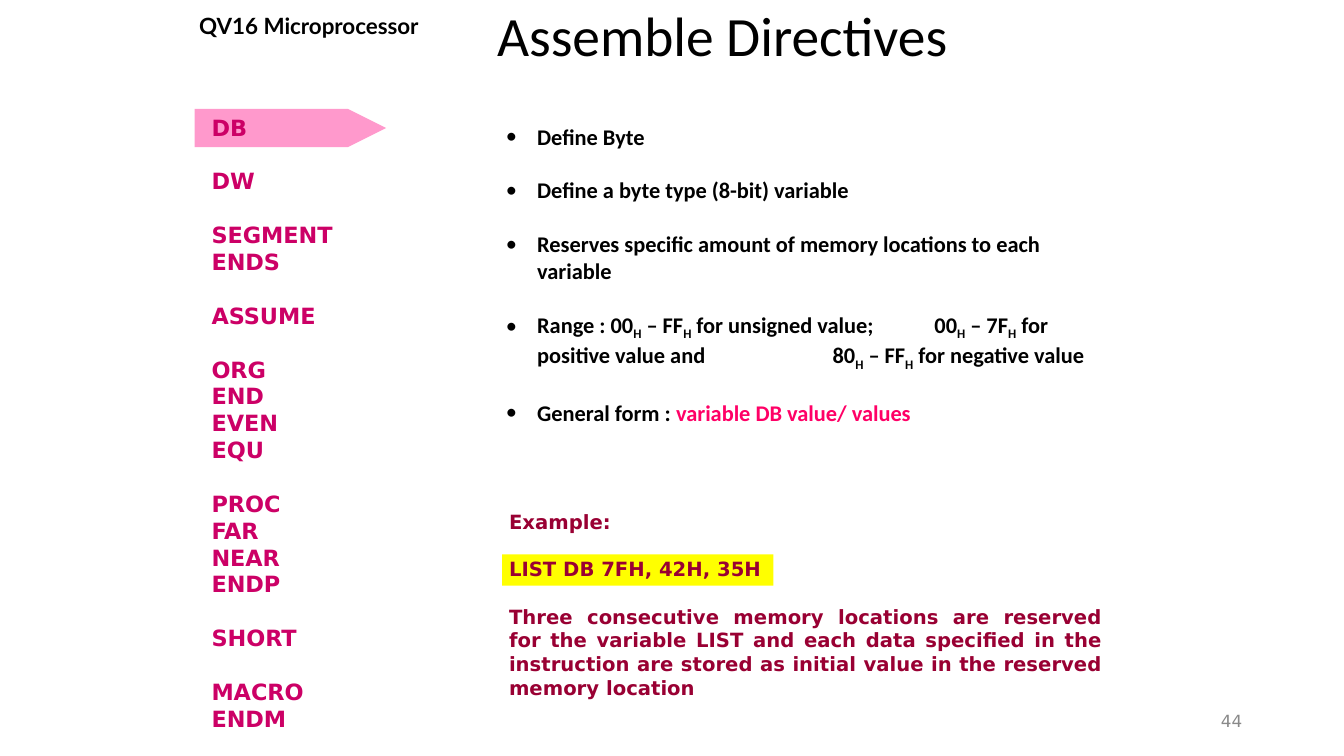
from dataclasses import dataclass

from lxml import etree
from pptx import Presentation
from pptx.dml.color import RGBColor
from pptx.enum import shapes, text
from pptx.oxml import ns
from pptx.util import Inches, Pt

TITLE = "Assemble Directives"
HEADER = "QV16 Microprocessor"
NUMBER = "44"
GROUPS = [
    ["DB"],
    ["DW"],
    ["SEGMENT", "ENDS"],
    ["ASSUME"],
    ["ORG", "END", "EVEN", "EQU"],
    ["PROC", "FAR", "NEAR", "ENDP"],
    ["SHORT"],
    ["MACRO", "ENDM"],
]
# Each run is its text and its style: "" plain, "sub" subscript, "key" accent
H = ("H", "sub")
POINTS = [
    [("Define Byte", "")],
    [("Define a byte type (8-bit) variable", "")],
    [("Reserves specific amount of memory locations to each variable", "")],
    [("Range : 00", ""), H, (" – FF", ""), H,
     (" for unsigned value;\t00", ""), H, (" – 7F", ""), H,
     (" for positive value and\t80", ""), H, (" – FF", ""), H,
     (" for negative value", "")],
    [("General form : ", ""), ("variable DB value/ values", "key")],
]
TABS = [3.24, 4.25]
EXAMPLE = [
    "Example:",
    "LIST DB 7FH, 42H, 35H",
    "Three consecutive memory locations are reserved for the variable LIST "
    "and each data specified in the instruction are stored as initial value "
    "in the reserved memory location",
]


@dataclass(frozen=True)
class Theme:
    ink: str = "000000"
    grey: str = "898989"
    menu: str = "CC0066"
    key: str = "FF0066"
    wine: str = "990033"
    pink: str = "FF99CC"
    mark: str = "FFFF00"
    body: str = "Calibri"
    head: str = "Lato"
    wide: str = "DejaVu Sans"
    big: float = 39.6
    mid: float = 16
    note: float = 14
    small: float = 12
    gap: float = 19.2
    tight: float = 16.9


T = Theme()
LEFT = text.PP_ALIGN.LEFT


def style(para, face, size, color, bold=True, align=LEFT):
    font = para.font
    font.name, font.size, font.bold = face, Pt(size), bold
    font.color.rgb = RGBColor.from_string(color)
    para.alignment = align


def add_box(slide, *area):
    frame = slide.shapes.add_textbox(*map(Inches, area)).text_frame
    frame.word_wrap = True
    return frame


def add_para(frame, index):
    return frame.add_paragraph() if index else frame.paragraphs[0]


def add_fill(slide, kind, color, *area):
    shape = slide.shapes.add_shape(kind, *map(Inches, area))
    shape.shadow.inherit = False
    shape.fill.solid()
    shape.fill.fore_color.rgb = RGBColor.from_string(color)
    shape.line.fill.background()
    return shape


def set_bullet(para):
    """Give the paragraph a hanging bullet and the tab stops."""
    props = para._p.get_or_add_pPr()
    hang = Inches(0.31)
    props.set("marL", str(hang))
    props.set("indent", str(-hang))
    # The schema wants font, bullet, then tab list, ahead of the run defaults
    face = etree.Element(ns.qn("a:buFont"), typeface=T.body)
    bullet = etree.Element(ns.qn("a:buChar"), char="•")
    stops = etree.Element(ns.qn("a:tabLst"))
    for stop in TABS:
        etree.SubElement(stops, ns.qn("a:tab"), pos=str(Inches(stop)), algn="l")
    first = props.find(ns.qn("a:defRPr"))
    for item in (face, bullet, stops):
        first.addprevious(item)


def add_menu(slide):
    frame = add_box(slide, 2, 1.08, 1.63, 6.29)
    lines = [(word, i == 0) for group in GROUPS for i, word in enumerate(group)]
    for i, (word, opens) in enumerate(lines):
        para = add_para(frame, i)
        para.text = word
        style(para, T.wide, T.mid, T.menu)
        para.line_spacing = Pt(T.gap)
        para.space_before = Pt(T.gap if i and opens else 0)


def add_points(slide):
    frame = add_box(slide, 4.92, 1.17, 6.17, 3.33)
    for i, runs in enumerate(POINTS):
        para = add_para(frame, i)
        style(para, T.body, T.mid, T.ink)
        para.space_before = Pt(T.gap if i else 0)
        set_bullet(para)
        for words, look in runs:
            run = para.add_run()
            run.text = words
            if look == "sub":
                run.font._element.set("baseline", "-25000")
            elif look == "key":
                run.font.color.rgb = RGBColor.from_string(T.key)


def add_example(slide):
    frame = add_box(slide, 4.95, 5.01, 6.08, 1.99)
    for i, words in enumerate(EXAMPLE):
        para = add_para(frame, i)
        para.text = words
        style(para, T.wide, T.note, T.wine, align=text.PP_ALIGN.JUSTIFY)
        para.line_spacing = Pt(T.tight)
        para.space_before = Pt(T.tight if i else 0)


def add_title(slide):
    title = slide.shapes.title
    title.left, title.top, title.width, title.height = map(
        Inches, (4.83, 0.12, 6.58, 0.53))
    frame = title.text_frame
    frame.text = TITLE
    frame.vertical_anchor = text.MSO_ANCHOR.MIDDLE
    frame.auto_size = text.MSO_AUTO_SIZE.NONE
    style(frame.paragraphs[0], T.body, T.big, T.ink, bold=False)
    frame.paragraphs[0].line_spacing = 0.9


def add_labels(slide):
    head = add_box(slide, 1.73, 0.07, 2.67, 0.37)
    head.text = HEADER
    style(head.paragraphs[0], T.head, T.mid, T.ink, align=text.PP_ALIGN.CENTER)
    page = add_box(slide, 9.42, 6.95, 3, 0.4)
    page.text = NUMBER
    page.vertical_anchor = text.MSO_ANCHOR.MIDDLE
    style(page.paragraphs[0], T.wide, T.small, T.grey, False,
          text.PP_ALIGN.RIGHT)


def main():
    deck = Presentation()
    deck.slide_width, deck.slide_height = Inches(13.33), Inches(7.5)
    slide = deck.slides.add_slide(deck.slide_layouts[5])
    kinds = shapes.MSO_SHAPE
    add_fill(slide, kinds.RECTANGLE, T.mark, 4.98, 5.5, 2.69, 0.31)
    arrow = add_fill(slide, kinds.FLOWCHART_OFFPAGE_CONNECTOR, T.pink,
                     2.69, 0.32, 0.38, 1.9)
    arrow.rotation = 270
    add_title(slide)
    add_labels(slide)
    add_points(slide)
    add_example(slide)
    add_menu(slide)
    deck.save("out.pptx")


if __name__ == "__main__":
    main()
